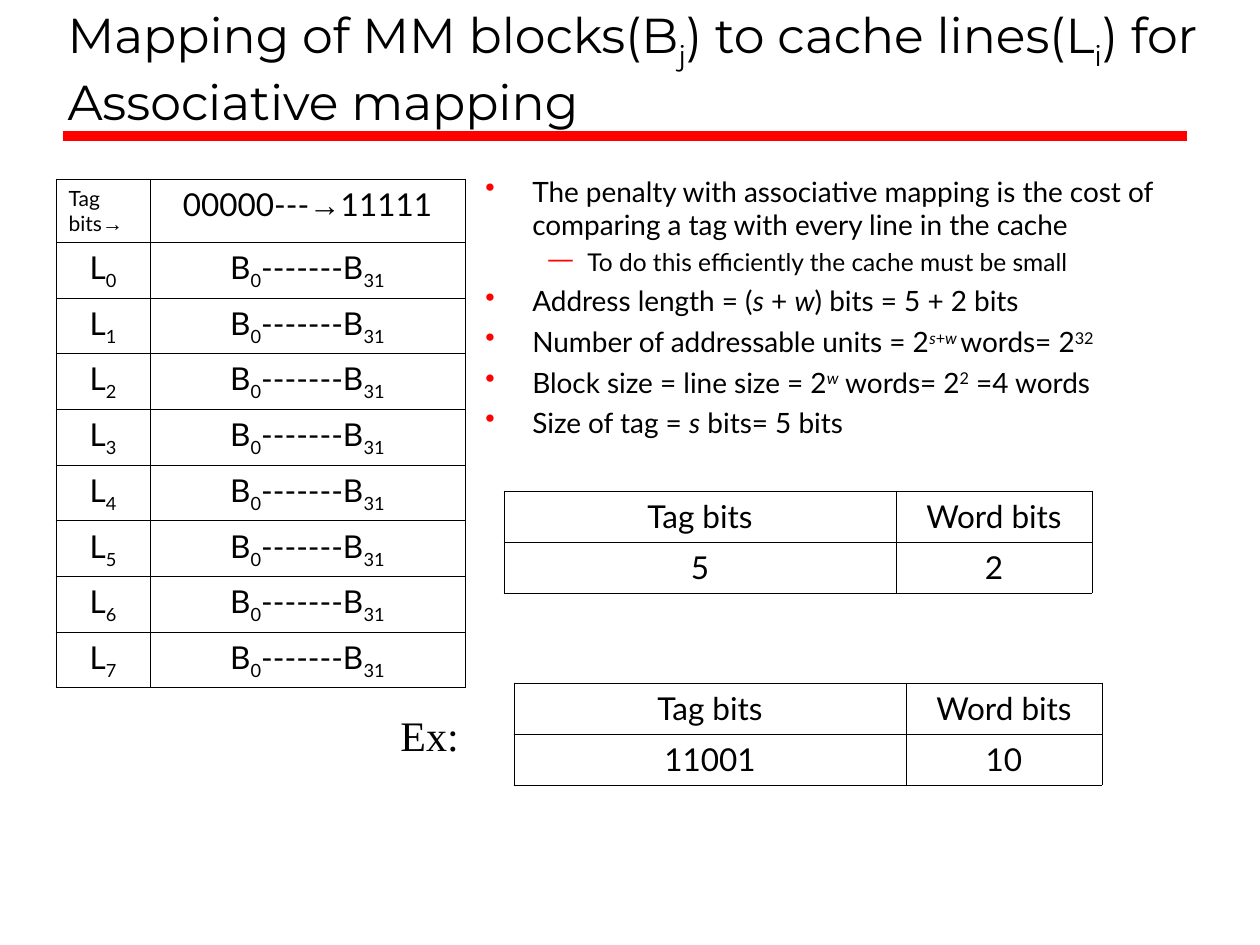
from dataclasses import dataclass
from typing import NamedTuple

from lxml.etree import SubElement
from pptx import Presentation
from pptx.dml.color import RGBColor
from pptx.enum.dml import MSO_THEME_COLOR
from pptx.enum.shapes import MSO_CONNECTOR
from pptx.enum.text import MSO_ANCHOR, MSO_AUTO_SIZE, PP_ALIGN
from pptx.oxml.ns import qn
from pptx.util import Emu, Pt

BLACK = RGBColor(0x00, 0x00, 0x00)
RED = RGBColor(0xFF, 0x00, 0x00)
BODY_FONT = "Lato"
DPI = 126


class Run(NamedTuple):
    text: str
    base: int = 0
    italic: bool = False
    font: str | None = None


class Bullet(NamedTuple):
    runs: list[Run]
    level: int = 0


class BulletStyle(NamedTuple):
    char: str
    size: int
    before: float
    margin: int
    hang: int


@dataclass
class Cell:
    runs: list[Run]
    size: int = 18
    align: PP_ALIGN = PP_ALIGN.CENTER


@dataclass
class Grid:
    left: int
    top: int
    cols: list[int]
    rows: list[int]
    cells: list[list[Cell]]


def px(n: int) -> Emu:
    return Emu(round(n * 914400 / DPI))


def sub(text: str) -> Run:
    return Run(text, -25)


def sup(text: str, italic: bool = False) -> Run:
    return Run(text, 30, italic)


def write(p, runs: list[Run], size: int, font: str = BODY_FONT) -> None:
    p.font.size = Pt(size)
    p.font.name = font
    p.font.color.rgb = BLACK
    for run in runs:
        r = p.add_run()
        r.text = run.text
        if run.base:
            r.font._element.set("baseline", str(run.base * 1000))
        if run.italic:
            r.font.italic = True
        if run.font:
            r.font.name = run.font


def add_border(cell) -> None:
    tc_pr = cell._tc.get_or_add_tcPr()
    for side in ("lnL", "lnR", "lnT", "lnB"):
        ln = SubElement(tc_pr, qn(f"a:{side}"), w=str(Pt(0.45)))
        fill = SubElement(ln, qn("a:solidFill"))
        SubElement(fill, qn("a:srgbClr"), val=str(BLACK))


def add_grid(s, grid: Grid) -> None:
    table = s.shapes.add_table(
        len(grid.rows), len(grid.cols), px(grid.left), px(grid.top),
        px(sum(grid.cols)), px(sum(grid.rows))).table
    table.first_row = table.horz_banding = False
    for col, width in zip(table.columns, grid.cols):
        col.width = px(width)
    for row, height, cells in zip(table.rows, grid.rows, grid.cells):
        row.height = px(height)
        for cell, content in zip(row.cells, cells):
            add_border(cell)
            cell.fill.background()
            p = cell.text_frame.paragraphs[0]
            p.alignment = content.align
            write(p, content.runs, content.size)


def add_text_box(s, left: int, top: int, width: int, height: int):
    tf = s.shapes.add_textbox(px(left), px(top), px(width), px(height)).text_frame
    tf.word_wrap = True
    return tf


def add_bullets(s, bullets: list[Bullet]) -> None:
    tf = add_text_box(s, 473, 168, 746, 294)
    for i, bullet in enumerate(bullets):
        style = STYLES[bullet.level]
        p = tf.add_paragraph() if i else tf.paragraphs[0]
        p.level = bullet.level
        p.space_before = Pt(style.before if i else 0)
        p_pr = p._p.get_or_add_pPr()
        p_pr.set("marL", str(px(style.margin)))
        p_pr.set("indent", str(-px(style.hang)))
        color = SubElement(p_pr, qn("a:buClr"))
        SubElement(color, qn("a:srgbClr"), val=str(RED))
        SubElement(p_pr, qn("a:buChar"), char=style.char)
        write(p, bullet.runs, style.size)


def add_title(s, runs: list[Run]) -> None:
    title = s.shapes.title
    title.left, title.top, title.width, title.height = px(55), px(21), px(1173), px(116)
    tf = title.text_frame
    tf.word_wrap = True
    tf.auto_size = MSO_AUTO_SIZE.NONE
    tf.vertical_anchor = MSO_ANCHOR.BOTTOM
    p = tf.paragraphs[0]
    p.alignment = PP_ALIGN.LEFT
    write(p, runs, 28, "Montserrat")


def add_rule(s) -> None:
    rule = s.shapes.add_connector(
        MSO_CONNECTOR.STRAIGHT, px(63), px(136), px(1187), px(136))
    rule.line.color.rgb = RED
    rule.line.width = Pt(6)
    SubElement(rule._element.spPr, qn("a:effectLst"))
    s.shapes.title._element.addprevious(rule._element)


def address_grid(left: int, top: int, tag: str, word: str) -> Grid:
    rows = [["Tag bits", "Word bits"], [tag, word]]
    return Grid(left, top, [392, 196], [51, 51],
                [[Cell([Run(text)]) for text in row] for row in rows])


STYLES = [BulletStyle("•", 16, 4, 47, 47), BulletStyle("—", 14, 3.5, 102, 39)]
ARROW = Run("→", font="Arial")
TITLE = [Run("Mapping of MM blocks(B"), sub("j"), Run(") to cache lines(L"),
         sub("i"), Run(") for Associative mapping")]
BULLETS = [
    Bullet([Run("The penalty with associative mapping is the cost of "
                "comparing a tag with every line in the cache")]),
    Bullet([Run("To do this efficiently the cache must be small")], 1),
    Bullet([Run("Address length = ("), Run("s", italic=True), Run(" + "),
            Run("w", italic=True), Run(") bits = 5 + 2 bits")]),
    Bullet([Run("Number of addressable units = 2"), sup("s", True), sup("+"),
            sup("w ", True), Run("words= 2"), sup("32")]),
    Bullet([Run("Block size = line size = 2"), sup("w", True), Run(" words= 2"),
            sup("2"), Run(" =4 words")]),
    Bullet([Run("Size of tag = "), Run("s", italic=True), Run(" bits= 5 bits")]),
]
BLOCKS = [Run("B"), sub("0"), Run("-------B"), sub("31")]
MAPPING = Grid(
    56, 179, [94, 315], [63] + [56, 55] * 4,
    [[Cell([Run("Tag bits"), ARROW], 12, PP_ALIGN.LEFT),
      Cell([Run("00000---"), ARROW, Run("11111")])]]
    + [[Cell([Run("L"), sub(str(i))]), Cell(BLOCKS)] for i in range(8)])


def main() -> None:
    prs = Presentation()
    prs.slide_width, prs.slide_height = px(1260), px(945)
    s = prs.slides.add_slide(prs.slide_layouts[5])
    s.background.fill.solid()
    s.background.fill.fore_color.theme_color = MSO_THEME_COLOR.BACKGROUND_1
    add_title(s, TITLE)
    add_rule(s)
    add_grid(s, MAPPING)
    add_grid(s, address_grid(504, 491, "5", "2"))
    add_bullets(s, BULLETS)
    add_grid(s, address_grid(514, 683, "11001", "10"))
    tf = add_text_box(s, 388, 703, 126, 63)
    write(tf.paragraphs[0], [Run("Ex:")], 24, "Times New Roman")
    prs.save("out.pptx")


if __name__ == "__main__":
    main()
